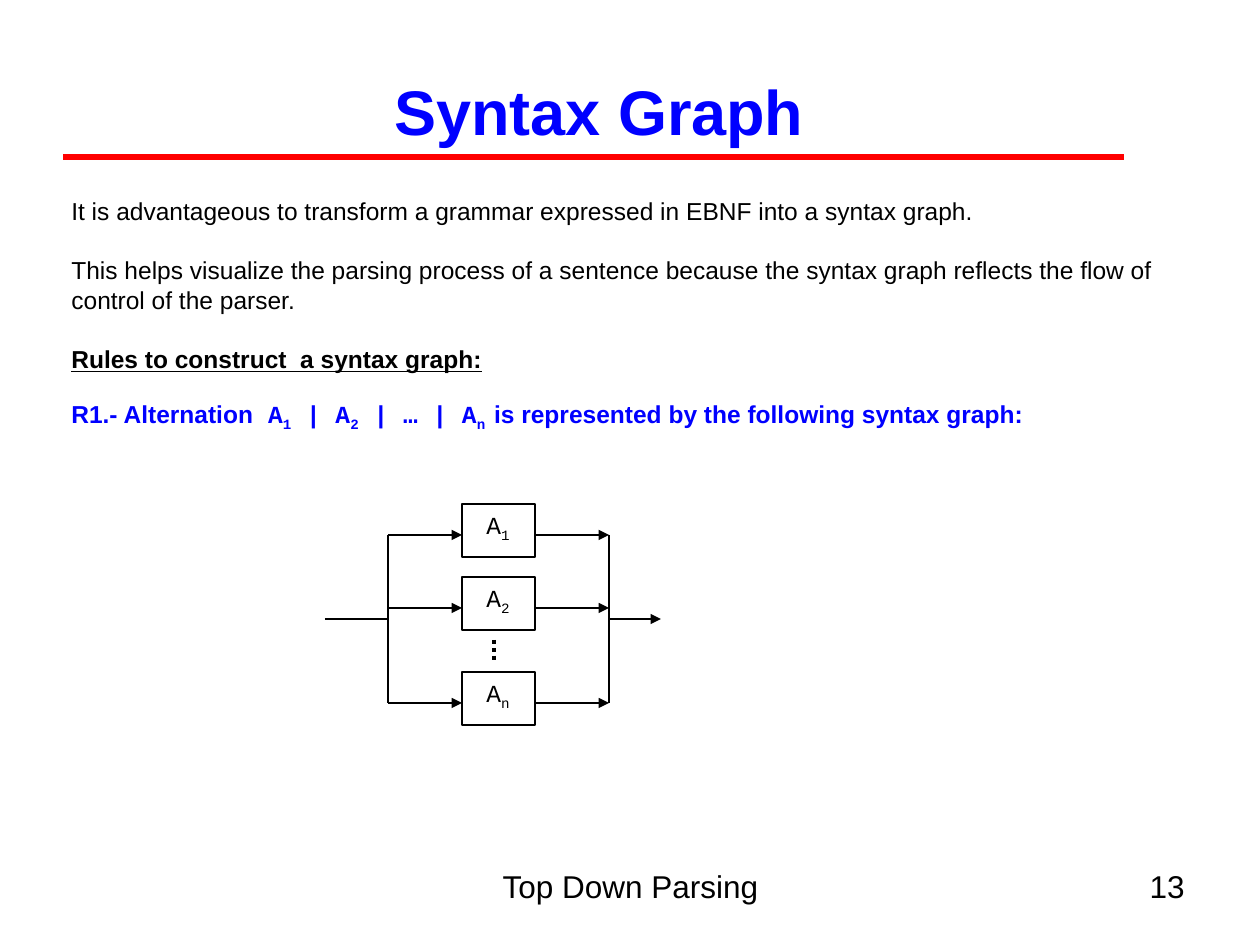
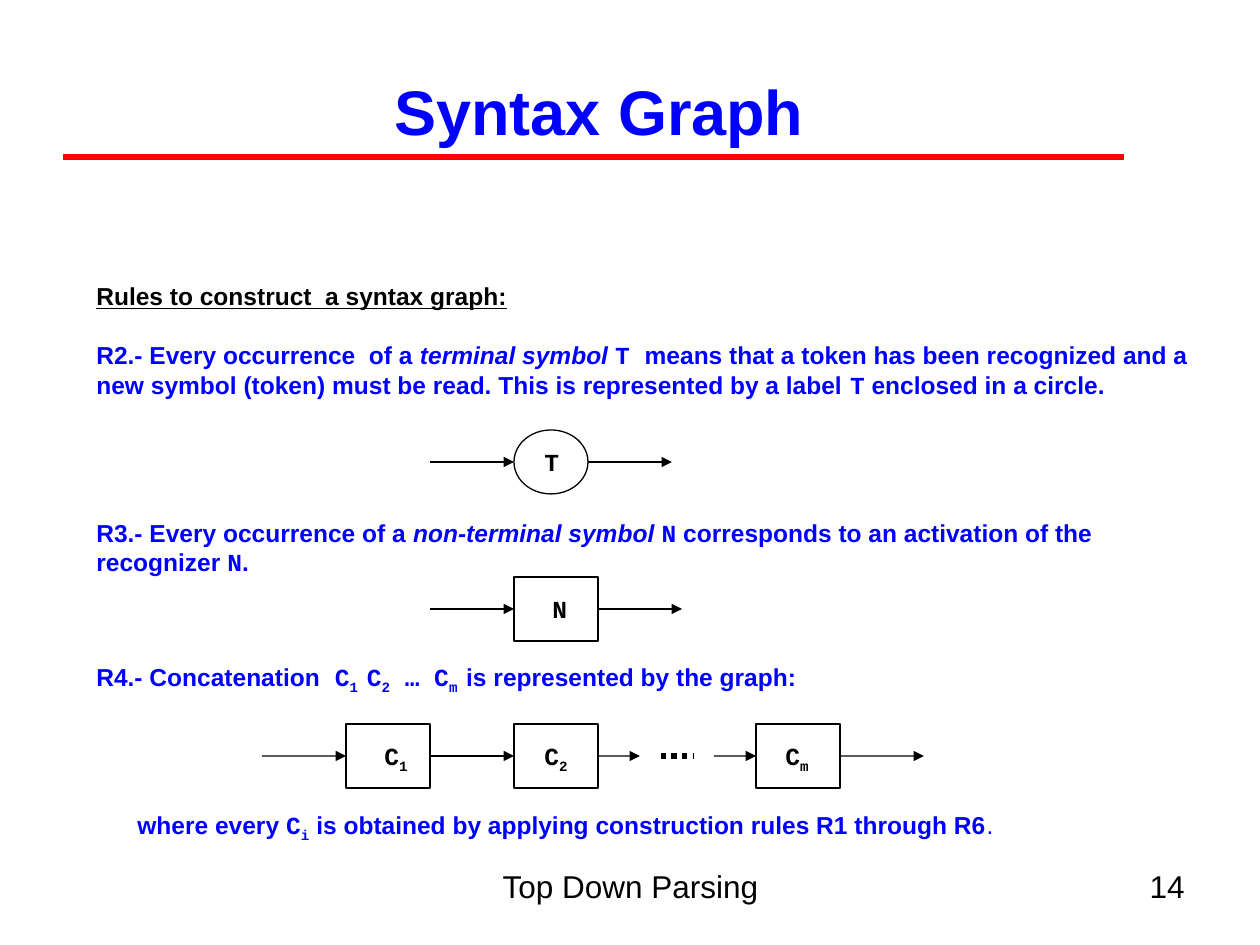
from lxml import etree
from pptx import Presentation
from pptx import util as u
from pptx.dml.color import RGBColor
from pptx.enum import dml, shapes, text
from pptx.oxml.ns import qn

SCALE = u.Inches(1) / 126
HUES = {"ink": "000000", "blue": "0000FF", "red": "FF0000"}
LINE = 16.9  # body line height, points
LEFT, MID, RIGHT = text.PP_ALIGN.LEFT, text.PP_ALIGN.CENTER, text.PP_ALIGN.RIGHT
RECT, OVAL = shapes.MSO_SHAPE.RECTANGLE, shapes.MSO_SHAPE.OVAL
RULES = [("Rules to construct  a syntax graph:", "bu")]


def px(n):
    return u.Emu(round(n * SCALE))


def hue(name):
    return RGBColor.from_string(HUES[name])


class Deck:
    def __init__(self):
        self.prs = Presentation()
        self.prs.slide_width, self.prs.slide_height = px(1260), px(945)
        self.slide = None

    def start(self, title, num):
        """Add a slide with the shared title, rule and footer."""
        self.slide = self.prs.slides.add_slide(self.prs.slide_layouts[6])
        self.note(431, 861, 399, 66, [("Top Down Parsing", "")], 18, MID)
        self.note(903, 861, 294, 66, [(str(num), "")], 18, RIGHT)
        head = self.note(32, 32, 1134, 157, [(title, "b")], 36, MID, "blue")
        head.vertical_anchor = text.MSO_ANCHOR.MIDDLE
        self.wire((63, 157), (1124, 157), hue_="red", width=3)

    def frame(self, x, y, w, h):
        box = self.slide.shapes.add_textbox(px(x), px(y), px(w), px(h))
        box.text_frame.word_wrap = True
        return box.text_frame

    def runs(self, para, parts, size, color):
        """Add (text, marks) runs: b bold, i italic, u underline, m mono, s subscript."""
        for words, marks in parts:
            run = para.add_run()
            run.text = words
            font = run.font
            font.name = "Courier New" if "m" in marks else "Arial"
            font.size = u.Pt(size)
            font.color.rgb = hue(color)
            font.bold, font.italic = "b" in marks, "i" in marks
            font.underline = "u" in marks
            if "s" in marks:
                run._r.get_or_add_rPr().set("baseline", "-25000")

    def note(self, x, y, w, h, parts, size=14, align=LEFT, color="ink"):
        frame = self.frame(x, y, w, h)
        frame.paragraphs[0].alignment = align
        self.runs(frame.paragraphs[0], parts, size, color)
        return frame

    def body(self, x, y, w, h, paras):
        """Add paragraphs given as (blank lines above, colour, indent, runs)."""
        frame = self.frame(x, y, w, h)
        for i, (gap, color, indent, parts) in enumerate(paras):
            para = frame.add_paragraph() if i else frame.paragraphs[0]
            para.line_spacing = u.Pt(LINE)
            para.space_before = u.Pt(gap * LINE)
            if indent:
                para._p.get_or_add_pPr().set("marL", str(px(indent)))
            self.runs(para, parts, 14, color)

    def node(self, kind, x, y, w, h):
        shape = self.slide.shapes.add_shape(kind, px(x), px(y), px(w), px(h))
        shape.shadow.inherit = False
        shape.fill.background()
        shape.line.color.rgb = hue("ink")
        shape.line.width = u.Pt(0.75)
        return shape

    def wire(self, a, b, arrow=False, hue_="ink", width=0.75, dots=False,
             src=None, dst=None):
        """Draw a line; src is left by its right side, dst entered at its left."""
        line = self.slide.shapes.add_connector(
            shapes.MSO_CONNECTOR.STRAIGHT, *map(px, a + b))
        line.line.color.rgb = hue(hue_)
        line.line.width = u.Pt(width)
        if dots:
            line.line.dash_style = dml.MSO_LINE.ROUND_DOT
            line.line._ln.find(qn("a:prstDash")).set("val", "sysDot")
        if arrow:
            etree.SubElement(line.line._ln, qn("a:tailEnd"), type="triangle")
        etree.SubElement(line._element.spPr, qn("a:effectLst"))
        if src is not None:
            line.begin_connect(src, 3)
        if dst is not None:
            line.end_connect(dst, 1)

    def label(self, x, y, name, sub="", bold=""):
        parts = [(name, "m" + bold)]
        if sub:
            parts.append((sub, "ms" + bold))
        self.note(x, y, 63, 42, parts)


def choice(deck):
    deck.start("Syntax Graph", 13)
    deck.body(59, 190, 1134, 250, [
        (0, "ink", 0, [("It is advantageous to transform a grammar expressed "
                        "in EBNF into a syntax graph.", "")]),
        (1, "ink", 0, [("This helps visualize the parsing process of a sentence "
                        "because the syntax graph reflects the flow of control "
                        "of the parser.", "")]),
        (1, "ink", 0, RULES),
        (1, "blue", 0, [
            ("R1.- Alternation", "b"), (" A", "bm"), ("1", "bms"),
            (" | A", "bm"), ("2", "bms"), (" | … | A", "bm"), ("n ", "bms"),
            ("is represented by the following syntax graph:", "b")]),
    ])
    fork, left, right, join = 388, 462, 535, 609
    for top, sub in ((504, "1"), (577, "2"), (672, "n")):
        deck.node(RECT, left, top, right - left, 53)
        deck.label(474, top, "A", sub)
        row = top + 31
        deck.wire((fork, row), (left, row), arrow=True)
        deck.wire((right, row), (join, row), arrow=True)
    for rail in (fork, join):
        deck.wire((rail, 535), (rail, 703))
    deck.wire((325, 619), (fork, 619))
    deck.wire((join, 619), (661, 619), arrow=True)
    deck.wire((494, 640), (494, 661), width=2.25, dots=True)


def chain(deck):
    deck.start("Syntax Graph", 14)
    deck.body(84, 275, 1144, 578, [
        (0, "ink", 0, RULES),
        (1, "blue", 0, [
            ("R2.- Every occurrence  of a ", "b"), ("terminal symbol ", "bi"),
            ("T ", "bm"),
            ("means that a token has been recognized and a new symbol (token) "
             "must be read. This is represented by a label ", "b"),
            ("T", "bm"), (" enclosed in a circle.", "b")]),
        (4, "blue", 0, [
            ("R3.- Every occurrence of a ", "b"), ("non-terminal symbol ", "bi"),
            ("N", "bm"), (" corresponds to an activation of the recognizer ", "b"),
            ("N", "bm"), (".", "b")]),
        (3, "blue", 0, [
            ("R4.- Concatenation", "b"), (" C", "bm"), ("1 ", "bms"), ("C", "bm"),
            ("2", "bms"), (" … C", "bm"), ("m ", "bms"),
            ("is represented by the graph:", "b")]),
        (4, "blue", 41, [
            ("where every ", "b"), ("C", "bm"), ("i", "bms"),
            (" is obtained by applying construction rules R1 through R6", "b"),
            (".", "")]),
    ])
    deck.node(OVAL, 514, 430, 74, 64)
    deck.label(532, 441, "T", bold="b")
    deck.wire((430, 462), (514, 462), arrow=True)
    deck.wire((588, 462), (672, 462), arrow=True)

    call = deck.node(RECT, 514, 577, 84, 64)
    deck.label(540, 588, "N", bold="b")
    deck.wire((430, 609), (514, 609), arrow=True, dst=call)
    deck.wire((598, 609), (682, 609), arrow=True, src=call)

    row = 756
    first, next_, last = [deck.node(RECT, x, 724, 84, 64) for x in (346, 514, 756)]
    for x, sub in ((372, "1"), (532, "2"), (773, "m")):
        deck.label(x, 735, "C", sub, "b")
    for x, end, src, dst in ((262, 346, None, first), (430, 514, first, next_),
                             (598, 640, next_, None), (714, 756, None, last),
                             (840, 924, last, None)):
        deck.wire((x, row), (end, row), arrow=True, src=src, dst=dst)
    deck.wire((661, row), (693, row), width=3, dots=True)


def main():
    deck = Deck()
    choice(deck)
    chain(deck)
    deck.prs.save("out.pptx")


if __name__ == "__main__":
    main()
